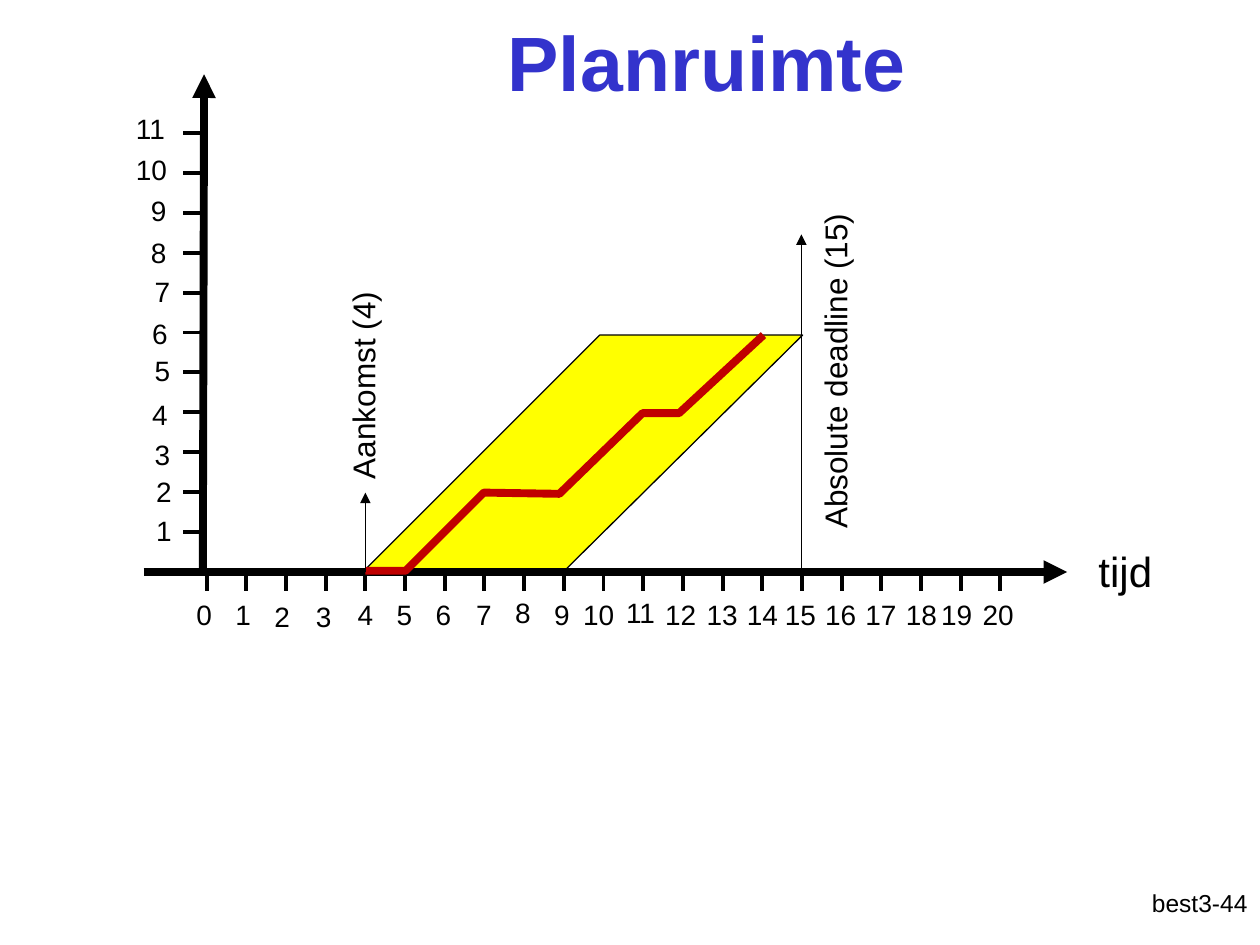
from pptx import Presentation
from pptx.dml.color import RGBColor
from pptx.enum.shapes import MSO_CONNECTOR as CONN
from pptx.enum.text import MSO_ANCHOR as ANCHOR, MSO_AUTO_SIZE as FIT, PP_ALIGN as ALIGN
from pptx.oxml.ns import qn
from pptx.util import Emu, Pt
from lxml.etree import SubElement

SCALE = 9144  # EMU per px, 100 px to the inch
BLACK, BLUE, YELLOW, RED = "000000", "3333CC", "FFFF00", "C00000"


def px(n):
    return Emu(round(n * SCALE))


def rgb(code):
    return RGBColor.from_string(code)


class Sketch:
    """Holds the font and the current slide, and draws elements on it."""

    font = "Arial"

    def __init__(self, slide):
        self.shapes = slide.shapes

    def text(self, words, x, y, w, h, size=16, color=BLACK, bold=False,
             align=ALIGN.LEFT, anchor=ANCHOR.TOP, rotation=0, fit=FIT.SHAPE_TO_FIT_TEXT):
        s = self.shapes.add_textbox(px(x), px(y), px(w), px(h))
        s.rotation = rotation
        tf = s.text_frame
        tf.text = words
        tf.word_wrap = True
        tf.auto_size = fit
        tf.vertical_anchor = anchor
        p = tf.paragraphs[0]
        p.alignment = align
        r = p.runs[0]
        r.font.name = self.font
        r.font.size = Pt(size)
        r.font.bold = bold
        r.font.color.rgb = rgb(color)

    def line(self, x1, y1, x2, y2, width=2.25, arrow=False):
        s = self.shapes.add_connector(CONN.STRAIGHT, px(x1), px(y1), px(x2), px(y2))
        s.line.color.rgb = rgb(BLACK)
        s.line.width = Pt(width)
        if arrow:
            SubElement(s.line._get_or_add_ln(), qn("a:tailEnd"), type="triangle")
        SubElement(s._element.spPr, qn("a:effectLst"))

    def outline(self, points, color, width, fill=None):
        """Closed and filled when a fill is given, otherwise an open path."""
        builder = self.shapes.build_freeform(*points[0], scale=SCALE)
        builder.add_line_segments(points[1:], close=fill is not None)
        s = builder.convert_to_shape()
        s.shadow.inherit = False
        if fill:
            s.fill.solid()
            s.fill.fore_color.rgb = rgb(fill)
        else:
            s.fill.background()
        s.line.color.rgb = rgb(color)
        s.line.width = Pt(width)


def draw_time_axis(sk):
    sk.line(114, 454, 847, 454, 4.5, arrow=True)
    sk.text("tijd", 862, 428, 126, 50, size=24)
    lefts = [146, 177, 208, 241, 274, 305, 336, 368, 399, 430, 453,
             487, 518, 551, 583, 613, 645, 677, 709, 737, 770]
    tops = {2: 471, 3: 471, 8: 468, 11: 468}
    for i, left in enumerate(lefts):
        x = 164 + 31.5 * i
        sk.line(x, 454, x, 469)
        sk.text(str(i), left, tops.get(i, 469), 27 if i < 10 else 81, 37)


def draw_work_axis(sk):
    sk.line(161, 453, 162, 59, 4.5, arrow=True)
    labels = [(114, 403), (114, 372), (113, 342), (111, 311), (113, 276), (111, 246),
              (113, 213), (110, 182), (110, 149), (98, 116), (98, 84)]
    for i, (left, top) in enumerate(labels, 1):
        y = 453.5 - 31.6 * i
        sk.line(161, y, 145, y)
        sk.text(str(i), left, top, 27 if i < 10 else 56, 37)


def main():
    prs = Presentation()
    prs.slide_width, prs.slide_height = px(1000), px(750)
    sk = Sketch(prs.slides.add_slide(prs.slide_layouts[6]))

    sk.outline([(290, 452), (476, 266), (637, 266), (448, 453)], BLACK, 0.75, YELLOW)
    sk.text("Planruimte", 375, -14, 372, 125, size=44, color=BLUE, bold=True,
            align=ALIGN.CENTER, anchor=ANCHOR.MIDDLE, fit=FIT.NONE)
    sk.text("best3-44", 792, 700, 208, 50, size=14, align=ALIGN.RIGHT, fit=FIT.NONE)

    draw_time_axis(sk)
    sk.line(636, 454, 636, 186, 0.75, arrow=True)
    sk.text("Absolute deadline (15)", 517, 264, 291, 40, size=18, rotation=270)
    draw_work_axis(sk)

    sk.outline([(290, 453), (322, 453), (384, 391), (444, 392), (510, 328),
                (539, 328), (606, 266)], RED, 4.5)
    sk.line(290, 454, 290, 391, 0.75, arrow=True)
    sk.text("Aankomst (4)", 186, 268, 204, 40, size=18, rotation=270)

    prs.save("out.pptx")


if __name__ == "__main__":
    main()
